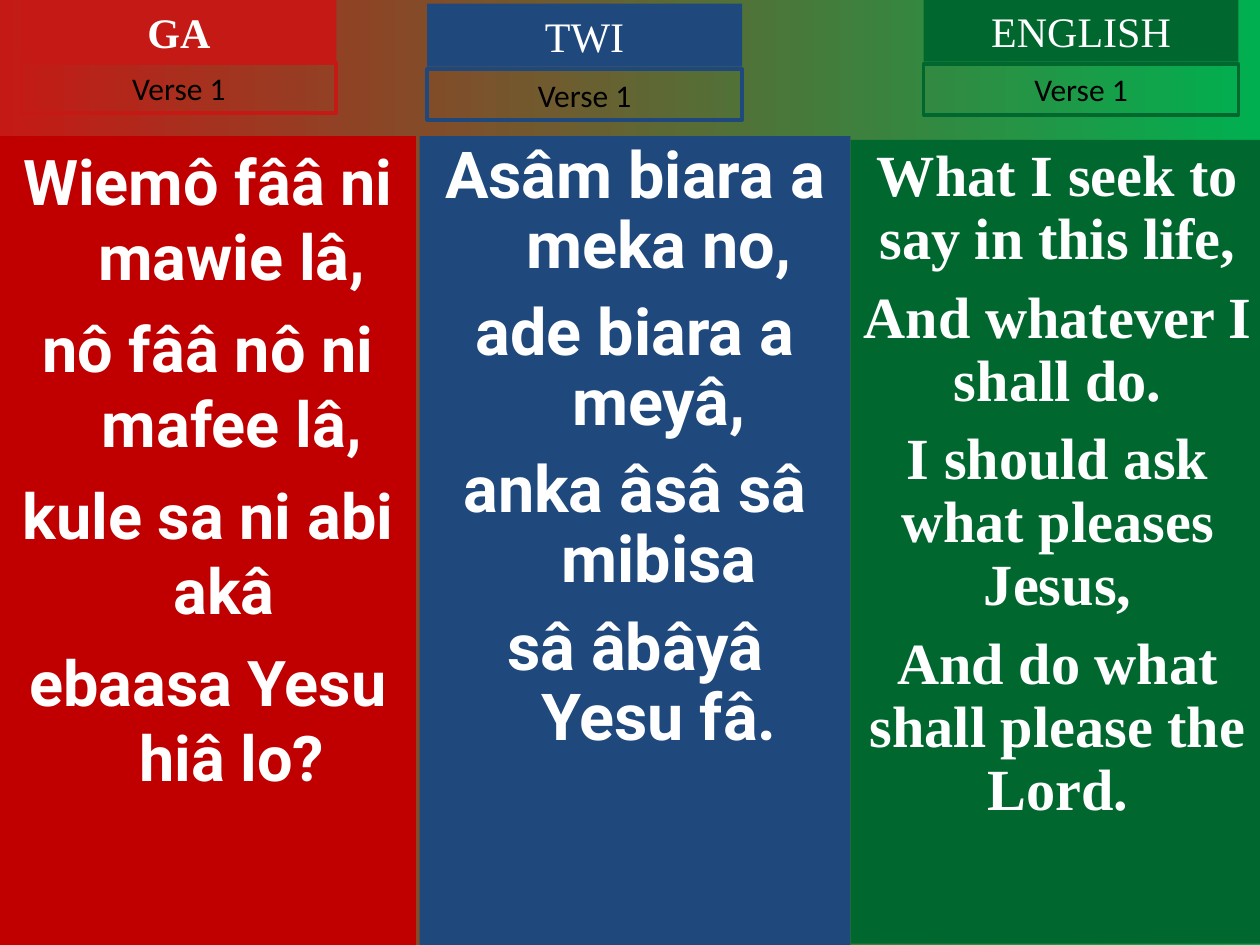
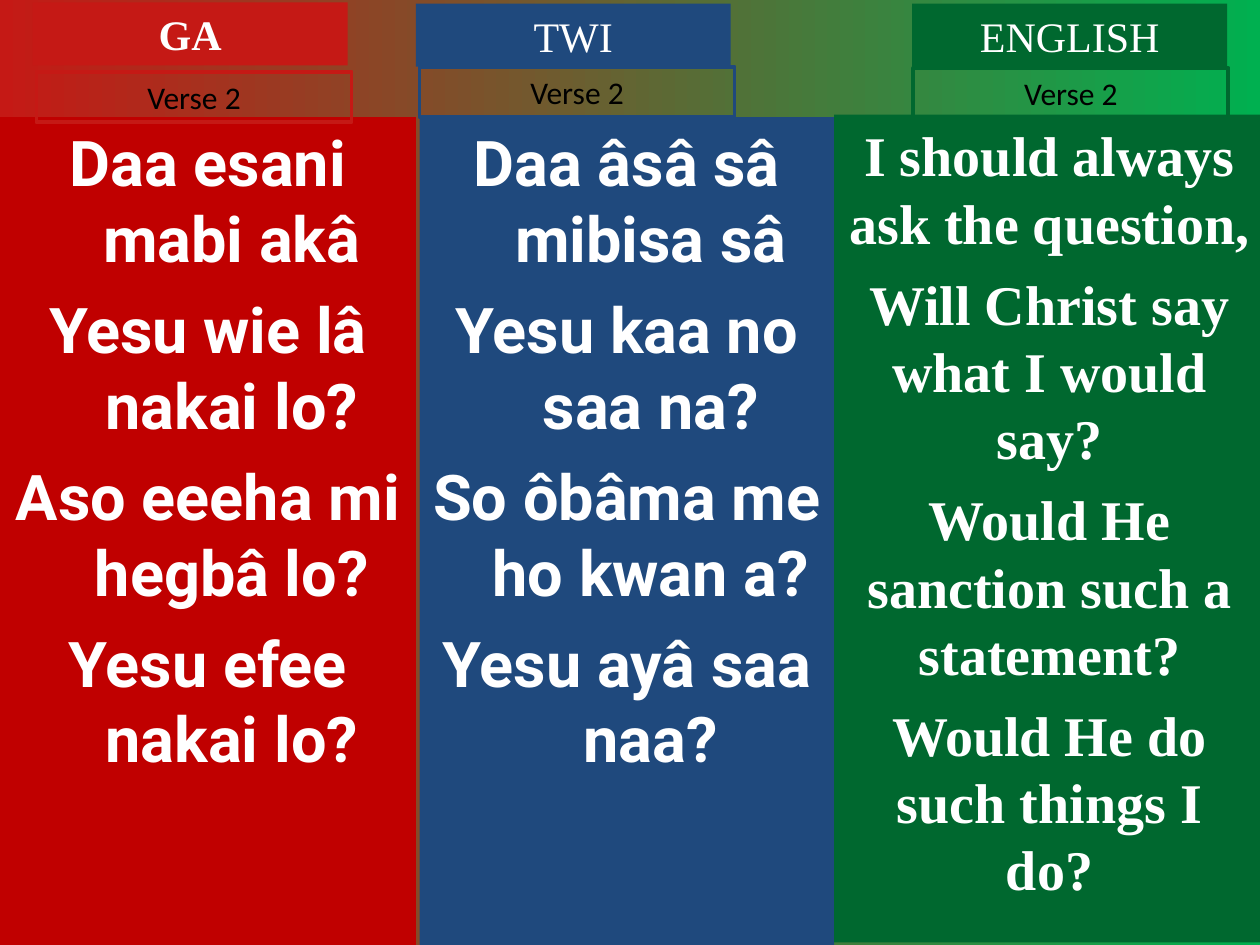
from lxml import etree
from pptx import Presentation
from pptx.dml.color import RGBColor
from pptx.enum.shapes import MSO_SHAPE
from pptx.enum.text import MSO_ANCHOR, MSO_AUTO_SIZE, PP_ALIGN
from pptx.oxml.ns import qn
from pptx.util import Inches, Pt

RECTANGLE = MSO_SHAPE.RECTANGLE
CENTER = PP_ALIGN.CENTER
TOP, MIDDLE = MSO_ANCHOR.TOP, MSO_ANCHOR.MIDDLE
NO_AUTOFIT = MSO_AUTO_SIZE.NONE

COLORS = {
    "red": "C51915", "deep red": "C00000", "blue": "1F497D",
    "green": "00682F", "bright green": "00B050",
    "white": "FFFFFF", "black": "000000",
}
SERIF, SANS, VERSE_FONT = "Times New Roman", "Roboto", "Calibri"
TWO_CONTENT = 3
LABEL_WIDTH, HEADER_HEIGHT, VERSE_HEIGHT = 2.5, 0.5, 0.4
HANGING = 0.38

# Language, label colour, panel colour, lyric font, bold header
LANGUAGES = [
    ("GA", "red", "deep red", SANS, True),
    ("TWI", "blue", "blue", SANS, False),
    ("ENGLISH", "green", "green", SERIF, False),
]

# Each column: panel box, header (left, top), verse (left, top),
# lyric size, line spacing, space before, lyric lines
VERSES = [
    ("Verse 1", [
        ((0, 1.08, 3.3, 6.42), (0.17, 0), (0.17, 0.5), 36, 1, 9,
         ["Wiemô fââ ni mawie lâ,", "nô fââ nô ni mafee lâ,",
          "kule sa ni abi akâ ", "ebaasa Yesu hiâ lo?"]),
        ((3.33, 1.08, 3.42, 6.42), (3.39, 0.03), (3.39, 0.55), 37, 0.9, 10,
         ["Asâm biara a meka no,", "ade biara a meyâ,",
          "anka âsâ sâ mibisa", "sâ âbâyâ Yesu fâ."]),
        ((6.75, 1.11, 3.29, 6.38), (7.33, -0.01), (7.33, 0.51), 33.3, 0.9, 9,
         ["What I seek to say in this life,", "And whatever I shall do.",
          "I should ask what pleases Jesus,",
          "And do what shall please the Lord."]),
    ]),
    ("Verse 2", [
        ((0, 0.93, 3.3, 6.57), (0.26, 0.02), (0.29, 0.57), 36, 1, 9,
         ["Daa esani mabi akâ", "Yesu wie lâ nakai lo?",
          "Aso eeeha mi hegbâ lo?", "Yesu efee nakai lo?"]),
        ((3.33, 0.93, 3.29, 6.57), (3.3, 0.03), (3.33, 0.53), 36, 1, 9,
         ["Daa âsâ sâ mibisa sâ", "Yesu kaa no saa na?",
          "So ôbâma me ho kwan a?", "Yesu ayâ saa naa?"]),
        ((6.62, 0.91, 3.42, 6.57), (7.24, 0.03), (7.25, 0.54), 32, 1, 8,
         ["I should always ask the question,",
          "Will Christ say what I would say?",
          "Would He sanction such a statement?",
          "Would He do such things I do?"]),
    ]),
]


def rgb(name):
    return RGBColor.from_string(COLORS[name])


def write_box(box, lines, font, size, color, bold=False, anchor=MIDDLE,
              spacing=1, before=0, hanging=0):
    frame = box.text_frame
    frame.word_wrap = True
    frame.auto_size = NO_AUTOFIT
    frame.vertical_anchor = anchor
    frame.text = "\n".join(lines)
    for index, line in enumerate(frame.paragraphs):
        props = line._p.get_or_add_pPr()
        props.set("marL", str(Inches(hanging)))
        props.set("indent", str(-Inches(hanging)))
        etree.SubElement(props, qn("a:buNone"))
        line.alignment = CENTER
        line.line_spacing = spacing
        line.space_before = Pt(before if index else 0)
        line.font.name, line.font.size = font, Pt(size)
        line.font.bold = bold
        line.font.color.rgb = rgb(color)


prs = Presentation()
prs.slide_width, prs.slide_height = Inches(10), Inches(7.5)

for verse_name, columns in VERSES:
    slide = prs.slides.add_slide(prs.slide_layouts[TWO_CONTENT])
    title, ga_lyrics, twi_lyrics = list(slide.placeholders)[:3]
    title.element.getparent().remove(title.element)

    # Red to green background
    backdrop = slide.background.fill
    backdrop.gradient()
    backdrop.gradient_angle = 0
    for stop, shade in zip(backdrop.gradient_stops, ("red", "bright green")):
        stop.color.rgb = rgb(shade)

    english_lyrics = slide.shapes.add_shape(RECTANGLE, 0, 0, 0, 0)
    english_lyrics.shadow.inherit = False
    english_lyrics.line.fill.background()
    panels = [ga_lyrics, twi_lyrics, english_lyrics]

    for language, panel, column in zip(LANGUAGES, panels, columns):
        name, label_color, panel_color, lyric_font, bold_header = language
        place, header_at, verse_at, size, spacing, before, lyrics = column

        # Lyrics panel
        panel.left, panel.top, panel.width, panel.height = map(Inches, place)
        panel.fill.solid()
        panel.fill.fore_color.rgb = rgb(panel_color)
        write_box(panel, lyrics, lyric_font, size, "white", True, TOP, spacing,
                  before, 0 if panel is english_lyrics else HANGING)

        # Language header
        header = slide.shapes.add_shape(
            RECTANGLE, *map(Inches, (*header_at, LABEL_WIDTH, HEADER_HEIGHT)))
        header.shadow.inherit = False
        header.fill.solid()
        header.fill.fore_color.rgb = rgb(label_color)
        header.line.fill.background()
        write_box(header, [name], SERIF, 24, "white", bold_header)

        # Verse label
        verse = slide.shapes.add_shape(
            RECTANGLE, *map(Inches, (*verse_at, LABEL_WIDTH, VERSE_HEIGHT)))
        verse.shadow.inherit = False
        verse.fill.background()
        verse.line.color.rgb = rgb(label_color)
        verse.line.width = Pt(2.25)
        write_box(verse, [verse_name], VERSE_FONT, 18, "black")

prs.save("out.pptx")
